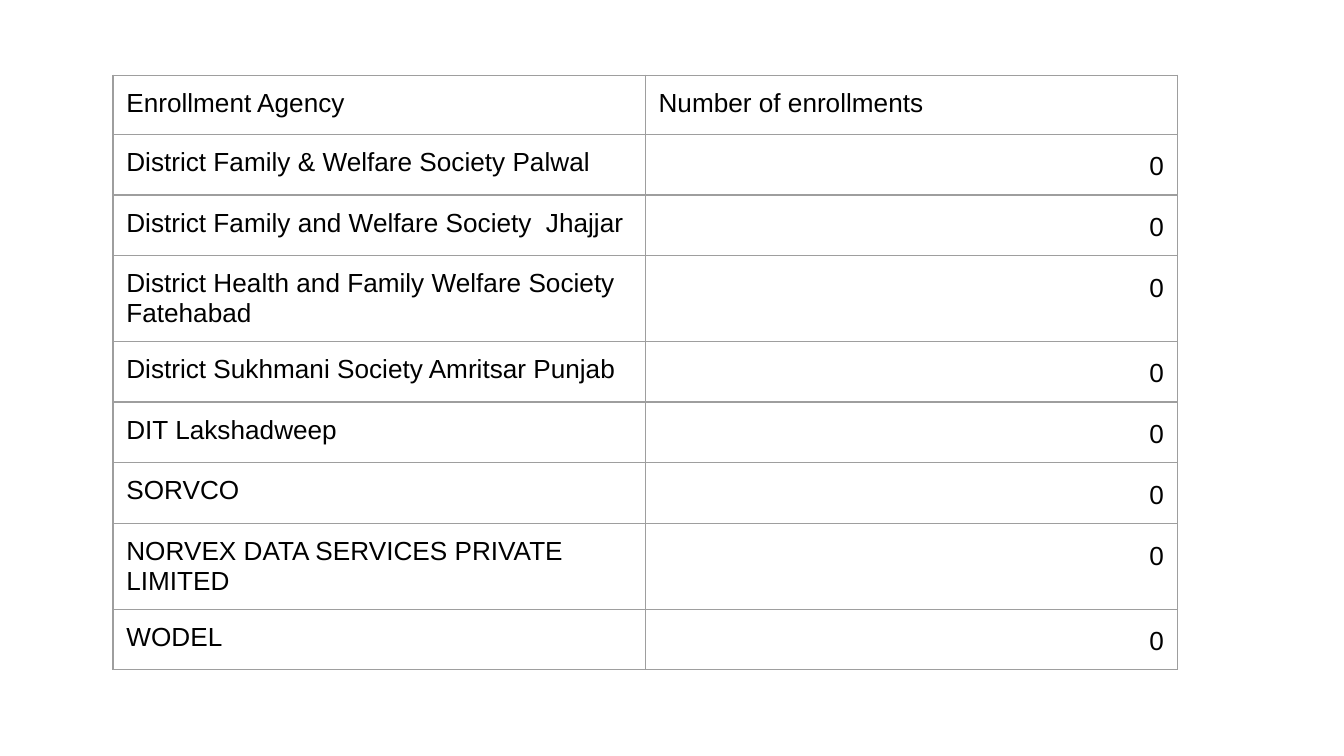
import pptx
import pptx.util
import pptx.dml.color
import pptx.enum.text
import pptx.oxml
import pptx.oxml.ns
from pptx.util import Inches

HEADINGS = ("Enrollment Agency", "Number of enrollments")
ENROLLMENTS = [
    ("District Family & Welfare Society Palwal", 0),
    ("District Family and Welfare Society  Jhajjar", 0),
    ("District Health and Family Welfare Society Fatehabad", 0),
    ("District Sukhmani Society Amritsar Punjab", 0),
    ("DIT Lakshadweep", 0),
    ("SORVCO", 0),
    ("NORVEX DATA SERVICES PRIVATE LIMITED", 0),
    ("WODEL", 0),
]
COLORS = {"text": "000000", "border": "9E9E9E"}
FONT, TEXT_SIZE, BORDER_WIDTH = "Arial", 14, 0.75
LEFT, TOP, COLUMN_WIDTH = 0.84, 0.56, 3.96
HEADER_HEIGHT, ROW_HEIGHT, MARGIN = 0.44, 0.42, 0.1


def add_borders(cell):
    properties = cell._tc.get_or_add_tcPr()
    for position, side in enumerate(("lnL", "lnR", "lnT", "lnB")):
        line = pptx.oxml.parse_xml(
            f'<a:{side} {pptx.oxml.ns.nsdecls("a")} w="{pptx.util.Pt(BORDER_WIDTH)}">'
            f'<a:solidFill><a:srgbClr val="{COLORS["border"]}"/></a:solidFill>'
            f'<a:prstDash val="solid"/></a:{side}>'
        )
        properties.insert(position, line)


def fill_cell(cell, text, numeric):
    cell.fill.background()
    cell.margin_left = cell.margin_right = Inches(MARGIN)
    cell.margin_top = cell.margin_bottom = Inches(MARGIN)
    para = cell.text_frame.paragraphs[0]
    para.alignment = pptx.enum.text.PP_ALIGN.LEFT
    if numeric:
        para.alignment = pptx.enum.text.PP_ALIGN.RIGHT
        para.line_spacing = 1.15
    span = para.add_run()
    span.text = text
    span.font.name = FONT
    span.font.size = pptx.util.Pt(TEXT_SIZE)
    span.font.bold = False
    span.font.color.rgb = pptx.dml.color.RGBColor.from_string(COLORS["text"])
    add_borders(cell)


deck = pptx.Presentation()
deck.slide_width = Inches(10)
deck.slide_height = Inches(10 * 9 / 16)
page = deck.slides.add_slide(deck.slide_layouts[6])

records = [HEADINGS] + ENROLLMENTS
table_height = HEADER_HEIGHT + ROW_HEIGHT * len(ENROLLMENTS)
table = page.shapes.add_table(
    len(records), len(HEADINGS), Inches(LEFT), Inches(TOP),
    Inches(COLUMN_WIDTH * len(HEADINGS)), Inches(table_height),
).table
table.first_row = table.horz_banding = False
for column in table.columns:
    column.width = Inches(COLUMN_WIDTH)
for index, record in enumerate(records):
    table.rows[index].height = Inches(ROW_HEIGHT if index else HEADER_HEIGHT)
    for cell, value in zip(table.rows[index].cells, record):
        fill_cell(cell, str(value), isinstance(value, int))

deck.save("out.pptx")
